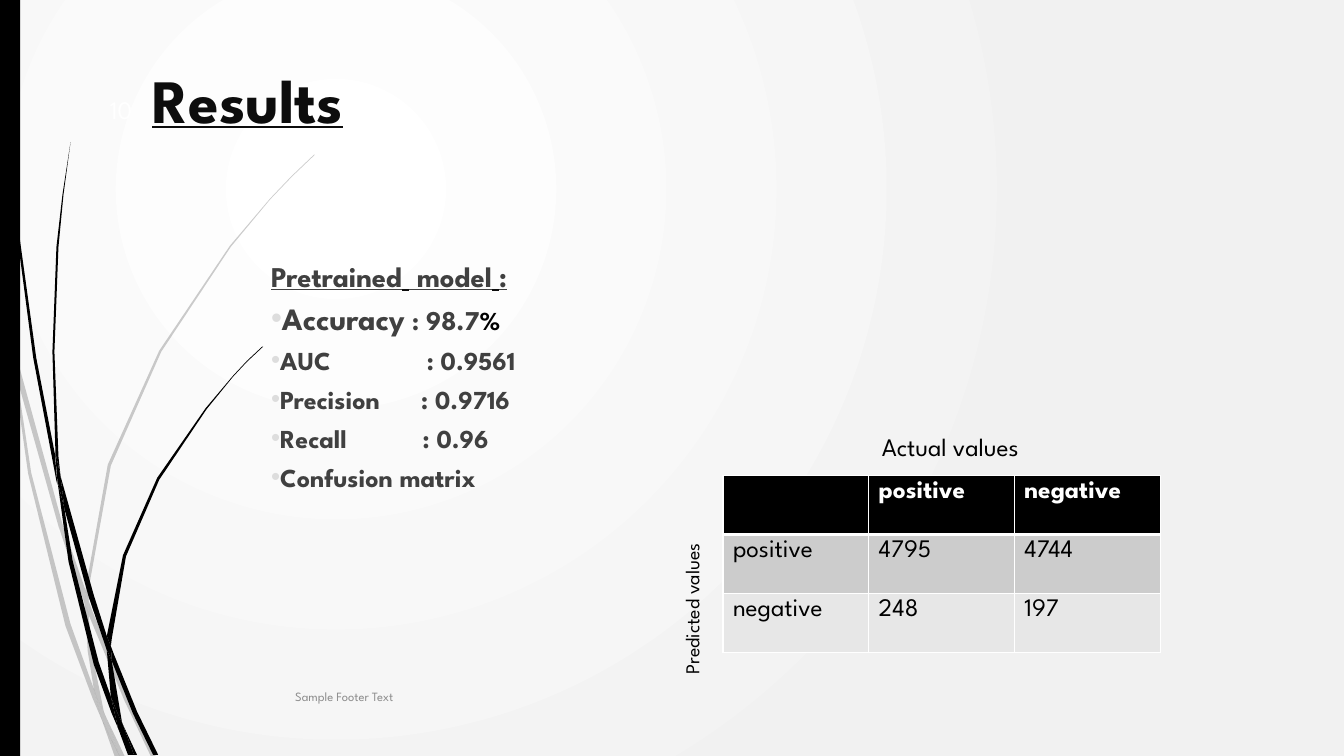
from lxml.etree import SubElement
from pptx import Presentation
from pptx.dml.color import RGBColor
from pptx.enum.shapes import MSO_SHAPE as Shape
from pptx.enum.text import MSO_ANCHOR as Anchor, MSO_AUTO_SIZE as AutoSize, PP_ALIGN as Align
from pptx.oxml.ns import qn
from pptx.util import Pt

COLORS = {
    "black": "000000", "white": "FFFFFF", "edge": "F1F1F1", "title": "0D0D0D",
    "body": "404040", "bullet": "DDDDDD", "footer": "8C8C8C",
    "band_dark": "CCCCCC", "band_light": "E7E7E7",
}
FONT = "League Spartan"
UNIT = Pt(0.72)

PALE_WISPS = [
    "11 350 9 322 0 282 0 299 10 344",
    "58 522 84 599 85 586 62 520 14 345 17 376",
    "92 607 88 596 88 610 123 694 150 751 155 751 127 692",
    "119 751 124 751 105 711",
    "93 683 70 619 31 469 17 376 11 350 28 470 65 621 92 693 101 714 99 707",
    "84 599 87 646 93 683 96 692 105 711 103 706 91 646 88 610 88 608",
    "88 584 110 462 160 349 229 245 268 198 290 175 312 154 312 153 "
    "289 175 268 197 228 244 158 348 107 461 85 584 85 586 88 596",
    "101 714 114 751 119 751",
    "88 608 88 610 88 596 85 586 84 599",
    "96 692 93 683 99 707 101 714 119 751 105 711",
]
DARK_WISPS = [
    "7 110 17 233 33 355 56 477 57 481 55 457 55 453 36 355 19 232 8 109 5 48 4 0 3 0 4 48",
    "88 592 106 645 106 633 106 631 93 590 60 472 64 505",
    "113 649 110 641 111 656 132 708 152 749 157 749 136 706",
    "110 691 98 657 72 556 64 505 57 477 68 557 93 659 111 708 117 722 116 717",
    "60 472 58 453 54 349 58 245 63 193 70 141 62 193 56 245 52 349 55 449",
    "133 749 136 749 122 719",
    "57 477 64 505 60 472 55 449 55 453",
    "111 633 125 552 158 476 205 406 231 374 245 359 261 344 260 344 "
    "245 358 231 373 204 405 156 474 122 551 106 631 110 641",
    "117 722 127 749 131 749",
    "106 645 110 691 116 706 122 719 121 716 111 656 109 651",
    "106 645 109 651 111 656 110 641 106 631 106 633",
    "116 706 110 691 116 717 117 722 130 749 133 749 122 719",
]


def rgb(name):
    return RGBColor.from_string(COLORS[name])


def add_run(paragraph, text, size=18, color="black", font=FONT, bold=False, underline=False):
    run = paragraph.add_run()
    run.text = text
    run.font.size = Pt(size)
    run.font.name = font
    run.font.bold = bold
    run.font.underline = underline
    run.font.color.rgb = rgb(color)


class ResultsSlide:
    def __init__(self, presentation):
        self.slide = presentation.slides.add_slide(presentation.slide_layouts[1])
        self.shapes = self.slide.shapes

    def background(self):
        fill = self.slide.background.fill
        fill.gradient()
        for stop, position, color in zip(fill.gradient_stops, (0, 1), ("white", "edge")):
            stop.position = position
            stop.color.rgb = rgb(color)
        gradient = next(self.slide.element.iter(qn("a:gradFill")))
        gradient.remove(gradient.find(qn("a:lin")))
        circle = SubElement(gradient, qn("a:path"), path="circle")
        SubElement(circle, qn("a:fillToRect"), l="50000", t="50000", r="100000", b="100000")

    def paint(self, shape, color, opacity=100):
        shape.shadow.inherit = False
        shape.fill.solid()
        shape.fill.fore_color.rgb = rgb(color)
        shape.line.fill.background()
        if opacity < 100:
            fill_color = next(shape.element.spPr.iter(qn("a:srgbClr")))
            SubElement(fill_color, qn("a:alpha"), val=str(opacity * 1000))

    def wisps(self, outlines, opacity):
        group = self.shapes.add_group_shape()
        for outline in outlines:
            numbers = [int(number) for number in outline.split()]
            start, *others = zip(numbers[::2], numbers[1::2])
            builder = group.shapes.build_freeform(*start, scale=UNIT)
            builder.add_line_segments(others, close=True)
            self.paint(builder.convert_to_shape(), "black", opacity)

    def bar(self, *box):
        self.paint(self.shapes.add_shape(Shape.RECTANGLE, *map(Pt, box)), "black")

    def placeholder(self, index, *box):
        shape = self.slide.placeholders[index]
        shape.left, shape.top, shape.width, shape.height = map(Pt, box)
        frame = shape.text_frame
        frame.auto_size = AutoSize.NONE
        frame.vertical_anchor = Anchor.TOP
        return frame

    def title(self, text, *box):
        paragraph = self.placeholder(0, *box).paragraphs[0]
        paragraph.alignment = Align.LEFT
        add_run(paragraph, text, size=44, color="title", bold=True, underline=True)

    def body(self, lines, *box):
        frame = self.placeholder(1, *box)
        for index, (tab, runs) in enumerate(lines):
            paragraph = frame.add_paragraph() if index else frame.paragraphs[0]
            paragraph.line_spacing = 0.8
            paragraph.space_before = Pt(10)
            properties = paragraph._p.get_or_add_pPr()
            properties.set("marL", "0")
            properties.set("indent", "0")
            if index:
                bullet_color = SubElement(properties, qn("a:buClr"))
                SubElement(bullet_color, qn("a:srgbClr"), val=COLORS["bullet"])
                SubElement(properties, qn("a:buChar"), char="•")
            else:
                SubElement(properties, qn("a:buNone"))
            if tab:
                stops = SubElement(properties, qn("a:tabLst"))
                SubElement(stops, qn("a:tab"), pos=str(Pt(tab)), algn="l")
            for text, style in runs:
                add_run(paragraph, text, **{"size": 18.5, "color": "body", "bold": True, **style})

    def text(self, text, *box, rotation=0, anchor=Anchor.TOP, **style):
        shape = self.shapes.add_textbox(*map(Pt, box))
        shape.rotation = rotation
        shape.text_frame.word_wrap = True
        shape.text_frame.vertical_anchor = anchor
        add_run(shape.text_frame.paragraphs[0], text, **style)

    def cell_borders(self, cell, widths):
        properties = cell._tc.get_or_add_tcPr()
        for index, (side, width) in enumerate(widths.items()):
            line = properties.makeelement(qn(f"a:ln{side}"), {"w": str(Pt(width))})
            fill = SubElement(line, qn("a:solidFill"))
            SubElement(fill, qn("a:srgbClr"), val=COLORS["white"])
            properties.insert(index, line)

    def table(self, rows, left, top, column_width, row_height):
        count = len(rows[0])
        box = (left, top, column_width * count, row_height * len(rows))
        table = self.shapes.add_table(len(rows), count, *map(Pt, box)).table
        for column in table.columns:
            column.width = Pt(column_width)
        for r, (values, fill) in enumerate(zip(rows, ("black", "band_dark", "band_light"))):
            table.rows[r].height = Pt(row_height)
            for c, value in enumerate(values):
                cell = table.cell(r, c)
                cell.fill.solid()
                cell.fill.fore_color.rgb = rgb(fill)
                self.cell_borders(cell, {"L": 1, "R": 1, "T": 3 if r == 1 else 1, "B": 1 if r else 3})
                if value:
                    add_run(cell.text_frame.paragraphs[0], value,
                            color="black" if r else "white", bold=r == 0)


def main():
    presentation = Presentation()
    presentation.slide_width, presentation.slide_height = Pt(960), Pt(540)
    slide = ResultsSlide(presentation)
    slide.background()
    slide.wisps(PALE_WISPS, 20)
    slide.wisps(DARK_WISPS, 100)
    slide.bar(0, 0, 14.4, 540)
    slide.text("10", 71.5, 62, 50, 32, anchor=Anchor.MIDDLE, color="white")
    slide.title("Results", 101.5, 40.3, 702, 100.8)
    heading = {"size": 20.4, "underline": True}
    gap = {**heading, "font": "Roboto", "color": "title"}
    slide.body([
        (None, [("Pretrained", heading), (" ", gap), (" model", heading), (" ", gap), (":", heading)]),
        (None, [("Accuracy", {"size": 22.2}), (" : ", {}), ("98.7", {"size": 19.4}), ("%", {"color": "black"})]),
        (111, [("AUC\t: 0.9561", {})]),
        (107, [("Precision\t: 0.9716", {})]),
        (108, [("Recall\t: 0.96", {})]),
        (None, [("Confusion matrix", {})]),
    ], 186.5, 185.8, 683.3, 181.4)
    slide.text("Sample Footer Text", 203.8, 483.1, 599.8, 28.8, anchor=Anchor.MIDDLE, size=9, color="footer")
    slide.table([("", "positive", "negative"), ("positive", "4795", "4744"), ("negative", "248", "197")],
                516.4, 339.6, 104.1, 42.2)
    slide.text("Predicted values", 416.9, 398.9, 154.8, 24.5, rotation=270, size=14)
    slide.text("Actual values", 622.8, 304.6, 480.2, 28.8)
    presentation.save("out.pptx")


if __name__ == "__main__":
    main()
